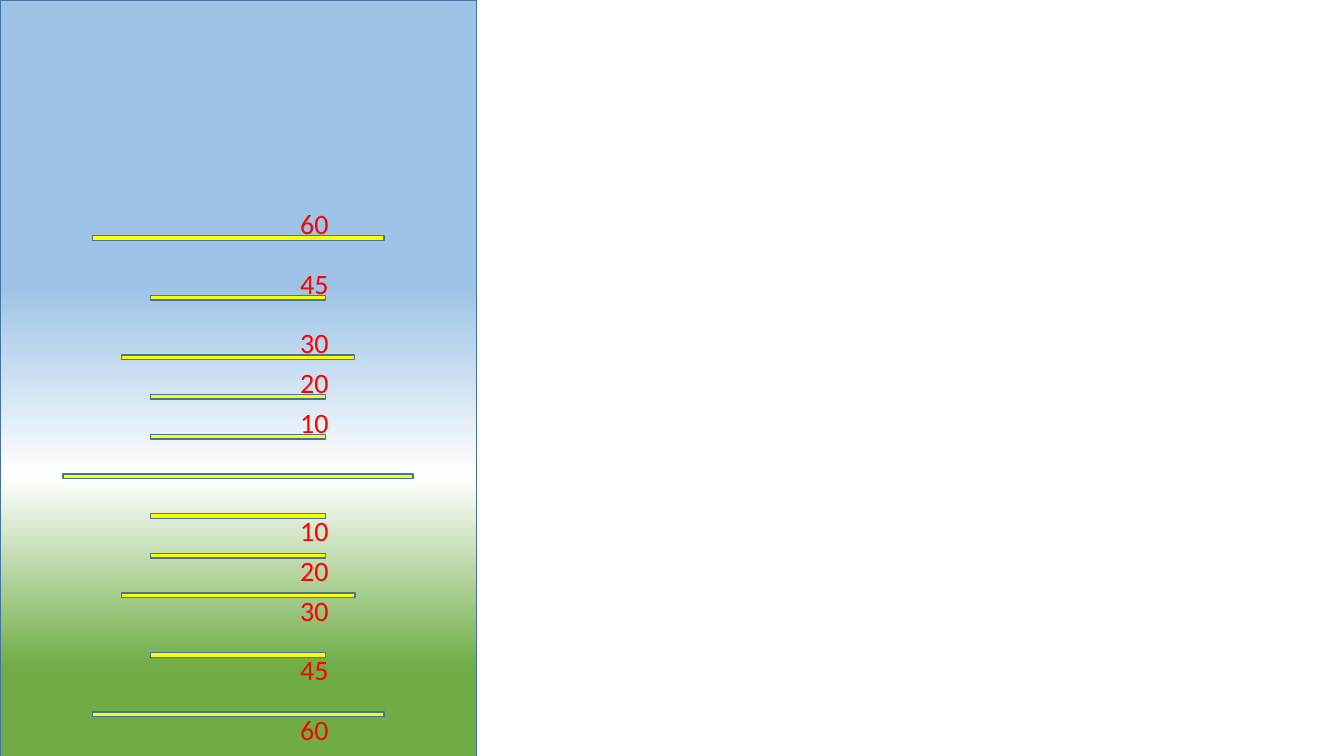
from dataclasses import dataclass

from lxml import etree
from pptx import Presentation
from pptx.dml.color import RGBColor
from pptx.enum.shapes import MSO_SHAPE
from pptx.enum.text import MSO_ANCHOR, MSO_AUTO_SIZE, PP_ALIGN
from pptx.oxml.ns import qn
from pptx.util import Pt

RECTANGLE = MSO_SHAPE.RECTANGLE
MINUS = MSO_SHAPE.MATH_MINUS
CENTER = PP_ALIGN.CENTER
MIDDLE = MSO_ANCHOR.MIDDLE
FIT_SHAPE = MSO_AUTO_SIZE.SHAPE_TO_FIT_TEXT


@dataclass(frozen=True)
class Theme:
    """Colours and type of the attitude scale."""
    sky_to_ground: tuple = ((30, "9DC3E6"), (50, "FFFFFF"), (70, "70AD47"))
    outline: str = "43739E"
    outline_width: float = 1
    bar: str = "FFFF00"
    label: str = "FF0000"
    label_size: float = 20
    font: str = "Calibri"


@dataclass(frozen=True)
class Box:
    """A region in points."""
    left: float
    top: float
    width: float
    height: float

    def lengths(self):
        """Return the four lengths for a shape call."""
        return [Pt(value) for value in (self.left, self.top, self.width, self.height)]


THEME = Theme()
SLIDE_WIDTH, SLIDE_HEIGHT = 960, 540
PANEL = Box(0, 0, 340.2, 680.4)
POINTS_PER_DEGREE = PANEL.height / 240
BAR_HEIGHT = 14.17
BAR_WIDTH_SHARES = {60: 5 / 6, 45: 1 / 2, 30: 2 / 3, 20: 1 / 2, 10: 1 / 2}
LABEL_WIDTH, LABEL_HEIGHT = 35.4, 31.5
LABEL_CENTER_SHARE = 0.66
LABEL_OFFSET = 10.4


def centered_box(center_x, center_y, width, height):
    """Return a box around a centre point."""
    return Box(center_x - width / 2, center_y - height / 2, width, height)


def add_outlined_shape(slide, kind, box):
    """Add a shape with the common outline and no shadow."""
    shape = slide.shapes.add_shape(kind, *box.lengths())
    shape.shadow.inherit = False
    shape.line.color.rgb = RGBColor.from_string(THEME.outline)
    shape.line.width = Pt(THEME.outline_width)
    return shape


def add_horizon_panel(slide, box):
    """Add the panel that fades from sky through horizon to ground."""
    panel = add_outlined_shape(slide, RECTANGLE, box)
    panel.fill.gradient()
    panel.fill.gradient_angle = 270
    stops = panel._element.spPr.find(".//" + qn("a:gsLst"))
    for stop in list(stops):
        stops.remove(stop)
    for percent, color in THEME.sky_to_ground:
        stop = etree.SubElement(stops, qn("a:gs"), pos=str(percent * 1000))
        etree.SubElement(stop, qn("a:srgbClr"), val=color)


def add_bar(slide, box, rotation=0):
    """Add one yellow scale bar."""
    bar = add_outlined_shape(slide, MINUS, box)
    bar.fill.solid()
    bar.fill.fore_color.rgb = RGBColor.from_string(THEME.bar)
    bar.rotation = rotation


def add_label(slide, box, text):
    """Add one degree label."""
    frame = slide.shapes.add_textbox(*box.lengths()).text_frame
    frame.word_wrap = False
    frame.auto_size = FIT_SHAPE
    frame.vertical_anchor = MIDDLE
    paragraph = frame.paragraphs[0]
    paragraph.alignment = CENTER
    run = paragraph.add_run()
    run.text = text
    run.font.name = THEME.font
    run.font.size = Pt(THEME.label_size)
    run.font.color.rgb = RGBColor.from_string(THEME.label)


def add_pitch_scale(slide, box):
    """Add the horizon bar and the mirrored, labelled degree bars."""
    center_x = box.left + box.width / 2
    horizon_y = box.top + box.height / 2
    label_x = box.left + box.width * LABEL_CENTER_SHARE
    add_bar(slide, centered_box(center_x, horizon_y, box.width, BAR_HEIGHT))
    for direction, rotation in ((-1, 0), (1, 180)):
        for degrees, share in BAR_WIDTH_SHARES.items():
            bar_y = horizon_y + direction * degrees * POINTS_PER_DEGREE
            add_bar(slide, centered_box(center_x, bar_y, box.width * share, BAR_HEIGHT), rotation)
            label_y = bar_y + direction * LABEL_OFFSET
            add_label(slide, centered_box(label_x, label_y, LABEL_WIDTH, LABEL_HEIGHT), str(degrees))


def build_attitude_slide(presentation, box):
    """Build the attitude indicator slide."""
    slide = presentation.slides.add_slide(presentation.slide_layouts[6])
    add_horizon_panel(slide, box)
    add_pitch_scale(slide, box)


def main():
    """Create and save the presentation."""
    presentation = Presentation()
    presentation.slide_width = Pt(SLIDE_WIDTH)
    presentation.slide_height = Pt(SLIDE_HEIGHT)
    build_attitude_slide(presentation, PANEL)
    presentation.save("out.pptx")


main()
